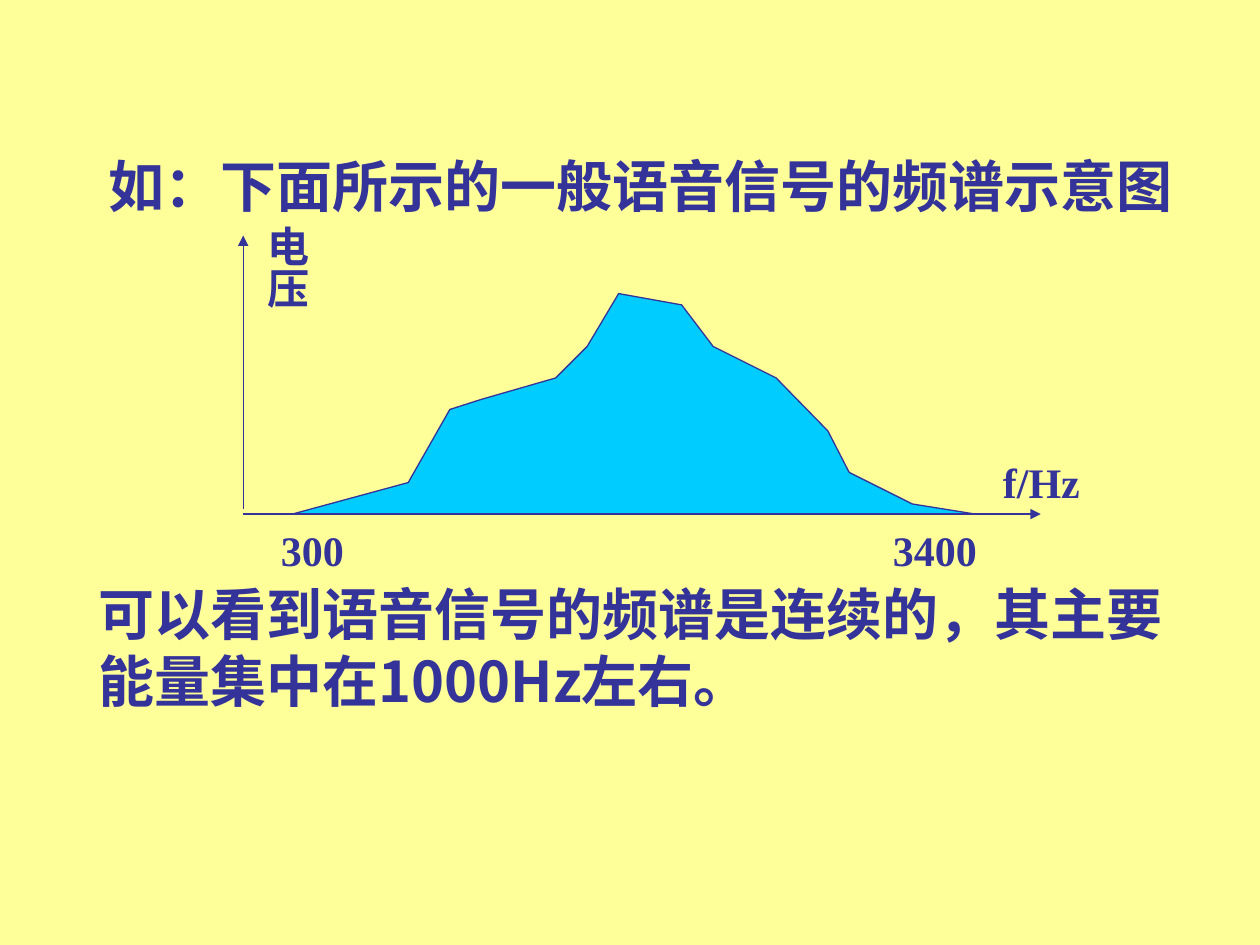
from lxml.etree import SubElement
from pptx import Presentation
from pptx.dml.color import RGBColor
from pptx.enum.shapes import MSO_CONNECTOR
from pptx.enum.text import MSO_ANCHOR, MSO_AUTO_SIZE, PP_ALIGN
from pptx.oxml.ns import qn
from pptx.util import Inches, Pt

INK, CYAN, PAPER = "333399", "00CCFF", "FFFF99"
LATIN, CJK = "Times New Roman", "Noto Sans CJK SC"

SPECTRUM = [
    (2.32, 4.08), (7.74, 4.08), (7.24, 4), (6.74, 3.75), (6.57, 3.42),
    (6.16, 3), (5.66, 2.75), (5.41, 2.42), (4.91, 2.33), (4.66, 2.75),
    (4.41, 3), (3.82, 3.17), (3.57, 3.25), (3.24, 3.83),
]
AXES = [
    ((1.93, 4.08), (8.26, 4.08)),
    ((1.93, 4.04), (1.93, 1.87)),
]
STATEMENTS = [
    (["如：下面所示的一般语音信号的频谱示意图"], (0.76, 1.15, 8.75, 0.64), LATIN),
    (["可以看到语音信号的频谱是连续的，其主要", "能量集中在1000Hz左右。"],
     (0.68, 4.55, 8.75, 1.17), CJK),
]
LABELS = [
    ("电压", (1.98, 1.69, 0.6, 0.87), True),
    ("f/Hz", (7.84, 3.57, 0.85, 0.5), False),
    ("300", (2.11, 4.11, 0.74, 0.5), False),
    ("3400", (6.97, 4.11, 0.9, 0.5), False),
]


def color(value):
    return RGBColor.from_string(value)


def add_text(slide, lines, box, size=24, font=LATIN, align=PP_ALIGN.CENTER,
             anchor=MSO_ANCHOR.MIDDLE, vertical=False):
    frame = slide.shapes.add_textbox(*map(Inches, box)).text_frame
    frame.word_wrap = False
    frame.auto_size = MSO_AUTO_SIZE.NONE
    frame.vertical_anchor = anchor
    side, top = (0.05, 0.1) if vertical else (0.1, 0.05)
    frame.margin_left = frame.margin_right = Inches(side)
    frame.margin_top = frame.margin_bottom = Inches(top)
    if vertical:
        frame._txBody.bodyPr.set("vert", "eaVert")
    frame.text = "\n".join(lines)
    for paragraph in frame.paragraphs:
        paragraph.alignment = align
        for run in paragraph.runs:
            run.font.size = Pt(size)
            run.font.bold = True
            run.font.name = font
            run.font.color.rgb = color(INK)
            SubElement(run.font._element, qn("a:ea")).set("typeface", CJK)


def add_axis(slide, start, end):
    axis = slide.shapes.add_connector(
        MSO_CONNECTOR.STRAIGHT, *map(Inches, start + end))
    axis.line.color.rgb = color(INK)
    axis.line.width = Pt(0.75)
    SubElement(axis.line._get_or_add_ln(), qn("a:tailEnd")).set("type", "triangle")
    SubElement(axis._element.spPr, qn("a:effectLst"))


def add_spectrum(slide, points):
    corners = [(Inches(x), Inches(y)) for x, y in points]
    builder = slide.shapes.build_freeform(*corners[0])
    builder.add_line_segments(corners[1:], close=True)
    area = builder.convert_to_shape()
    area.shadow.inherit = False
    area.fill.solid()
    area.fill.fore_color.rgb = color(CYAN)
    area.line.color.rgb = color(INK)
    area.line.width = Pt(0.75)


def main():
    deck = Presentation()
    deck.slide_width, deck.slide_height = Inches(10), Inches(7.5)
    slide = deck.slides.add_slide(deck.slide_layouts[6])
    slide.background.fill.solid()
    slide.background.fill.fore_color.rgb = color(PAPER)

    add_spectrum(slide, SPECTRUM)
    for start, end in AXES:
        add_axis(slide, start, end)
    for lines, box, font in STATEMENTS:
        add_text(slide, lines, box, size=32, font=font,
                 align=PP_ALIGN.LEFT, anchor=MSO_ANCHOR.TOP)
    for label, box, vertical in LABELS:
        add_text(slide, [label], box, vertical=vertical)

    deck.save("out.pptx")


if __name__ == "__main__":
    main()
